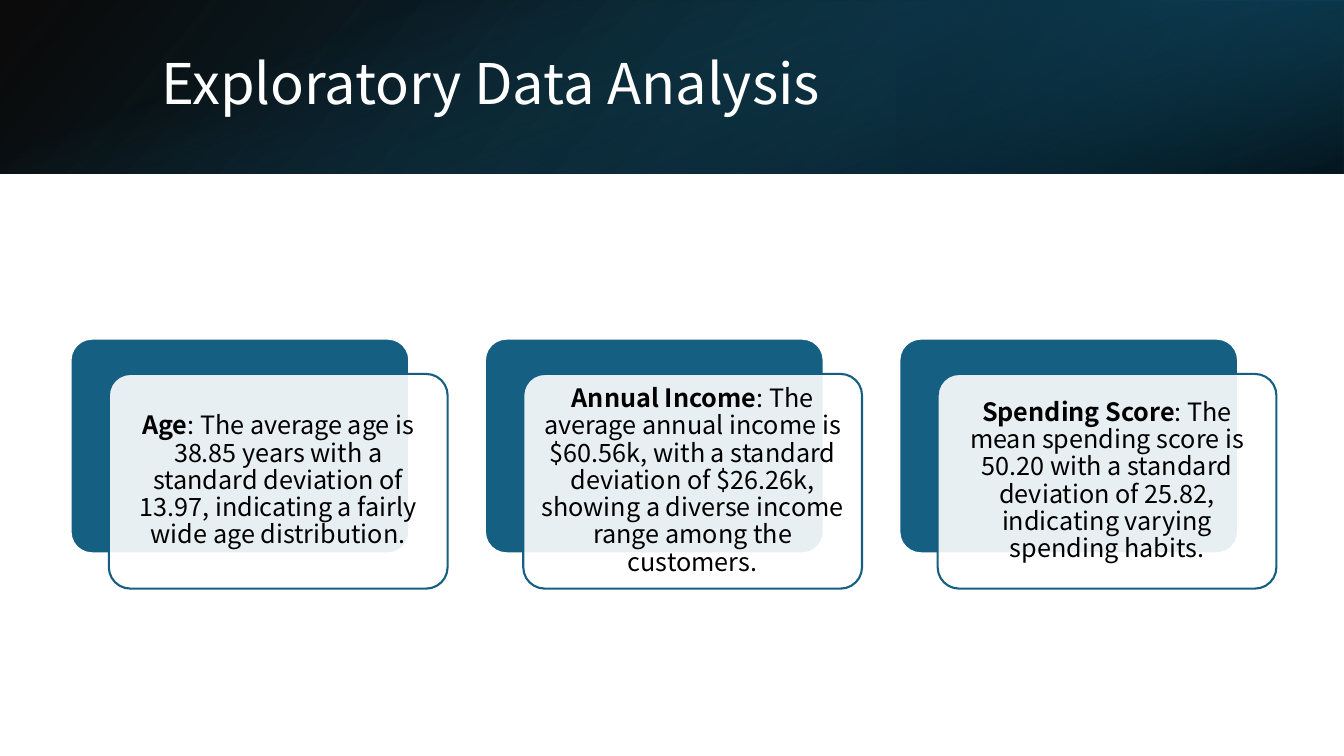
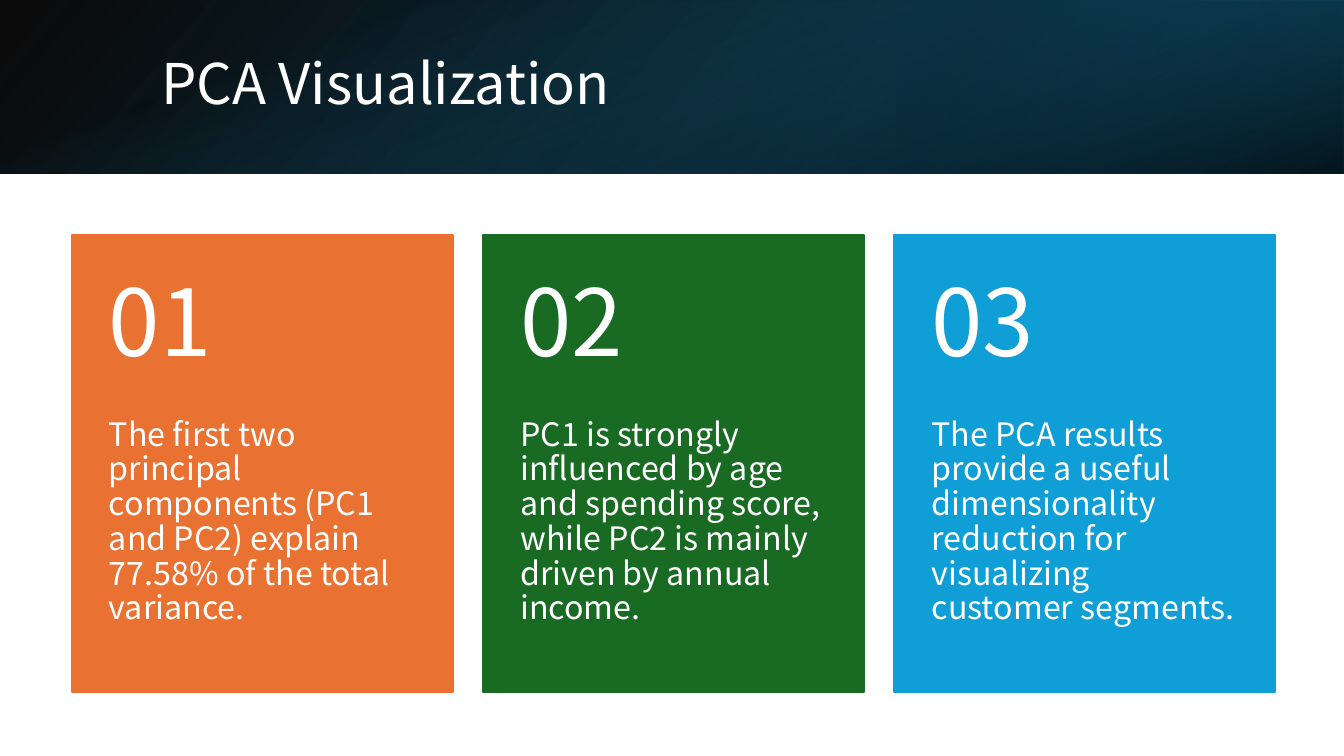
from lxml import etree
from pptx import Presentation, util as u
from pptx.dml.color import RGBColor
from pptx.enum import shapes, text
from pptx.oxml.ns import qn

FONT = "Noto Sans CJK SC"
COLORS = {
    "white": "FFFFFF", "black": "000000", "blue": "156082",
    "deep_blue": "104862", "night_blue": "0B3041",
    "orange": "E97132", "green": "196B24", "sky": "0F9ED5",
}

# Content
STATISTICS_TITLE = "Exploratory Data Analysis"
STATISTICS = [
    ("Age", ": The average age is 38.85 years with a standard deviation of 13.97, "
            "indicating a fairly wide age distribution."),
    ("Annual Income", ": The average annual income is $60.56k, with a standard deviation "
                      "of $26.26k, showing a diverse income range among the customers."),
    ("Spending Score", ": The mean spending score is 50.20 with a standard deviation "
                       "of 25.82, indicating varying spending habits."),
]
FINDINGS_TITLE = "PCA Visualization"
FINDINGS = [
    ("orange", "The first two principal components (PC1 and PC2) explain 77.58% "
               "of the total variance."),
    ("green", "PC1 is strongly influenced by age and spending score, while PC2 "
              "is mainly driven by annual income."),
    ("sky", "The PCA results provide a useful dimensionality reduction for "
            "visualizing customer segments."),
]

# Header layers: box, rotation, flipped, angle, stops (position, color, opacity)
HEADER_LAYERS = [
    ((0, 0, 13.33, 1.72), 0, True, 140, [(0, "black", 96), (100, "deep_blue", 100)]),
    ((8.89, 0, 4.44, 1.72), 180, True, 320, [(19, "night_blue", 68), (100, "blue", 79)]),
    ((5.8, -5.8, 1.72, 13.33), 90, False, 340, [(23, "blue", 0), (99, "black", 74)]),
]


def rgb(name):
    return RGBColor.from_string(COLORS[name])


def inches(box):
    return [u.Inches(length) for length in box]


def set_opacity(color_element, percent):
    etree.SubElement(color_element, qn("a:alpha"), val=str(percent * 1000))


def add_box(slide, kind, box, fill=None, line=None):
    shape = slide.shapes.add_shape(kind, *inches(box))
    shape.shadow.inherit = False
    if fill:
        shape.fill.solid()
        shape.fill.fore_color.rgb = rgb(fill)
    if line:
        shape.line.color.rgb = rgb(line)
        shape.line.width = u.Pt(1.5)
    else:
        shape.line.fill.background()
    return shape


def fill_gradient(shape, angle, stops):
    gradient = etree.Element(qn("a:gradFill"), rotWithShape="1")
    stop_list = etree.SubElement(gradient, qn("a:gsLst"))
    for position, color, opacity in stops:
        stop = etree.SubElement(stop_list, qn("a:gs"), pos=str(position * 1000))
        set_opacity(etree.SubElement(stop, qn("a:srgbClr"), val=COLORS[color]), opacity)
    etree.SubElement(gradient, qn("a:lin"), ang=str(angle * 60000), scaled="0")
    shape.element.spPr.find(qn("a:prstGeom")).addnext(gradient)


def write(shape, runs, size, color, insets, anchor=text.MSO_ANCHOR.MIDDLE,
          align=text.PP_ALIGN.LEFT):
    """Fill a shape with one paragraph of (words, bold) runs."""
    frame = shape.text_frame
    frame.word_wrap = True
    frame.vertical_anchor = anchor
    (frame.margin_left, frame.margin_top,
     frame.margin_right, frame.margin_bottom) = inches(insets)
    paragraph = frame.paragraphs[0]
    paragraph.alignment = align
    paragraph.line_spacing = 0.9
    for words, bold in runs:
        run = paragraph.add_run()
        run.text = words
        run.font.name = FONT
        run.font.size = u.Pt(size)
        run.font.bold = bold
        run.font.color.rgb = rgb(color)


def add_text(slide, box, words, size, insets, anchor=text.MSO_ANCHOR.MIDDLE):
    write(slide.shapes.add_textbox(*inches(box)), [(words, False)], size, "white",
          insets, anchor)


def add_titled_slide(presentation, title):
    slide = presentation.slides.add_slide(presentation.slide_layouts[6])
    for box, rotation, flipped, angle, stops in HEADER_LAYERS:
        layer = add_box(slide, shapes.MSO_SHAPE.RECTANGLE, box)
        layer.rotation = rotation
        if flipped:
            layer.element.spPr.find(qn("a:xfrm")).set("flipH", "1")
        fill_gradient(layer, angle, stops)
    add_text(slide, (1.5, 0.38, 10.98, 0.96), title, 40, (0.1, 0.05, 0.1, 0.05))
    return slide


def add_statistics(slide):
    left, top, width, height, pitch = 0.7, 3.36, 3.36, 2.13, 4.11
    shift_x, shift_y = 0.38, 0.35
    for index, (name, detail) in enumerate(STATISTICS):
        x = left + index * pitch
        back = add_box(slide, shapes.MSO_SHAPE.ROUNDED_RECTANGLE,
                       (x, top, width, height), "blue", "white")
        front = add_box(slide, shapes.MSO_SHAPE.ROUNDED_RECTANGLE,
                        (x + shift_x, top + shift_y, width, height), "white", "blue")
        for card in (back, front):
            card.adjustments[0] = 0.1
        set_opacity(front.element.spPr.find(qn("a:solidFill"))[0], 90)
        write(front, [(name, True), (detail, False)], 18, "black", [0.07] * 4,
              align=text.PP_ALIGN.CENTER)


def add_findings(slide):
    left, top, width, pitch = 0.71, 2.33, 3.78, 4.08
    number_height, body_height = 1.82, 2.72
    for index, (color, finding) in enumerate(FINDINGS):
        x = left + index * pitch
        add_box(slide, shapes.MSO_SHAPE.RECTANGLE,
                (x, top, width, number_height + body_height), color, color)
        add_text(slide, (x, top + number_height, width, body_height), finding, 23,
                 (0.37, 0, 0.37, 0.36), text.MSO_ANCHOR.TOP)
        add_text(slide, (x, top, width, number_height), f"{index + 1:02}", 66,
                 (0.37, 0.18, 0.37, 0.18))


def main():
    presentation = Presentation()
    presentation.slide_width = u.Inches(13.33)
    presentation.slide_height = u.Inches(7.5)
    add_statistics(add_titled_slide(presentation, STATISTICS_TITLE))
    add_findings(add_titled_slide(presentation, FINDINGS_TITLE))
    presentation.save("out.pptx")


if __name__ == "__main__":
    main()
